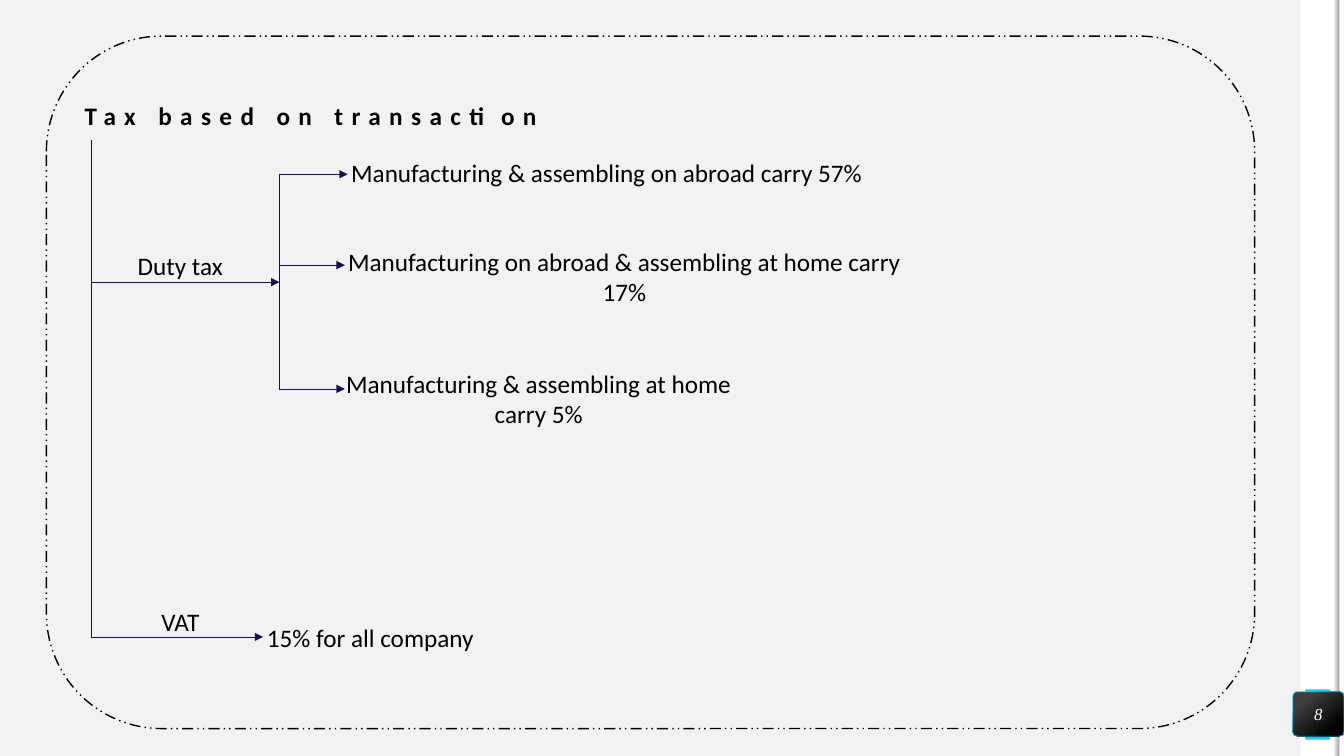
from lxml import etree
from pptx import Presentation
from pptx.dml.color import RGBColor
from pptx.enum.dml import MSO_LINE
from pptx.enum.shapes import MSO_CONNECTOR, MSO_SHAPE
from pptx.enum.text import MSO_ANCHOR, PP_ALIGN
from pptx.oxml.ns import qn
from pptx.util import Cm, Pt

RECTANGLE = MSO_SHAPE.RECTANGLE
ROUNDED = MSO_SHAPE.ROUNDED_RECTANGLE
STRAIGHT = MSO_CONNECTOR.STRAIGHT
DASH = MSO_LINE.DASH_DOT_DOT
CENTER = PP_ALIGN.CENTER
MIDDLE = MSO_ANCHOR.MIDDLE

color = RGBColor.from_string


def add_box(kind, box, fill=None, corner=None):
    shape = slide.shapes.add_shape(kind, *[Cm(length) for length in box])
    shape.shadow.inherit = False
    shape.line.fill.background()
    if isinstance(fill, dict):
        shape.fill.gradient()
        shape.fill.gradient_angle = fill["angle"]
        for stop, (position, shade) in zip(shape.fill.gradient_stops, fill["stops"]):
            stop.position = position
            stop.color.rgb = color(shade)
    elif fill:
        shape.fill.solid()
        shape.fill.fore_color.rgb = color(fill)
    else:
        shape.fill.background()
    if corner is not None:
        shape.adjustments[0] = corner
    return shape


def write(shape, text, **changes):
    frame = shape.text_frame
    frame.word_wrap = True
    frame.vertical_anchor = MIDDLE
    paragraph = frame.paragraphs[0]
    paragraph.alignment = CENTER
    run = paragraph.add_run()
    run.text = text
    formats = {"name": "Calibri", "size": Pt(18), "bold": False, "italic": False}
    shade = changes.pop("shade", "000000")
    for name, value in (formats | changes).items():
        setattr(run.font, name, value)
    run.font.color.rgb = color(shade)
    return run


presentation = Presentation()
presentation.slide_width = Cm(33.87)
presentation.slide_height = Cm(19.05)
slide = presentation.slides.add_slide(presentation.slide_layouts[6])
slide.background.fill.solid()
slide.background.fill.fore_color.rgb = color("F2F2F2")

edge_gradient = {"angle": 0, "stops": [(0, "F2F2F2"), (1, "A6A6A6")]}
badge_gradient = {"angle": 310, "stops": [(0.2, "404040"), (0.82, "000000")]}
add_box(RECTANGLE, (32.77, 0, 0.99, 19.05), "FFFFFF")
add_box(ROUNDED, (32.89, 17.37, 0.64, 1.27), "25C6E3", 0.07)
add_box(RECTANGLE, (33.74, 0, 0.13, 19.05), "FFFFFF")
add_box(RECTANGLE, (33.62, 0, 0.13, 19.05), edge_gradient)

badge = add_box(ROUNDED, (32.58, 17.43, 1.29, 1.12), badge_gradient, 0.1)
badge.line.color.rgb = color("25C6E3")
badge.line.width = Pt(0.5)
for side in ("left", "right", "top", "bottom"):
    setattr(badge.text_frame, f"margin_{side}", 0)
write(badge, "8", name="Times New Roman", size=Pt(12), italic=True, shade="FFFFFF")

border = add_box(ROUNDED, (1.17, 0.91, 30.45, 17.45))
border.line.color.rgb = color("000000")
border.line.width = Pt(1)
border.line.dash_style = DASH

trunk_x, branch_x = 2.29, 7.04
duty_y, vat_y = 7.11, 16.05
abroad_y, mixed_y, home_y = 4.39, 6.68, 9.8
lines = [
    (trunk_x, 3.53, trunk_x, vat_y, False),
    (trunk_x, duty_y, branch_x, duty_y, True),
    (trunk_x, vat_y, 6.63, vat_y, True),
    (branch_x, abroad_y, branch_x, home_y, False),
    (branch_x, abroad_y, 8.76, abroad_y, True),
    (branch_x, mixed_y, 8.69, mixed_y, True),
    (branch_x, home_y, 8.69, home_y, True),
]
for *ends, has_arrow in lines:
    connector = slide.shapes.add_connector(STRAIGHT, *[Cm(length) for length in ends])
    connector.line.color.rgb = color("1A0F49")
    connector.line.width = Pt(0.5)
    properties = connector._element.spPr
    if has_arrow:
        etree.SubElement(properties.find(qn("a:ln")), qn("a:tailEnd"), type="triangle")
    etree.SubElement(properties, qn("a:effectLst"))

for text, box in [
    ("Duty tax", (2.26, 6.4, 4.57, 0.56)),
    ("VAT", (3.2, 15.29, 2.69, 0.74)),
]:
    write(add_box(ROUNDED, box), text)

for text, box in [
    ("15% for all company", (4.65, 14.99, 9.37, 2.13)),
    ("Manufacturing & assembling on abroad carry 57%", (8.23, 3.73, 14.12, 1.22)),
    ("Manufacturing on abroad & assembling at home carry 17%", (8.46, 6.3, 14.55, 1.35)),
    ("Manufacturing & assembling at home carry 5%", (8.23, 9.25, 10.69, 1.6)),
]:
    write(slide.shapes.add_textbox(*[Cm(length) for length in box]), text)

title = slide.shapes.add_textbox(Cm(1.6), Cm(2.31), Cm(12.47), Cm(1.22))
title_run = write(title, "Tax based on transaction", bold=True)
title_run._r.get_or_add_rPr().set("spc", "600")

presentation.save("out.pptx")
